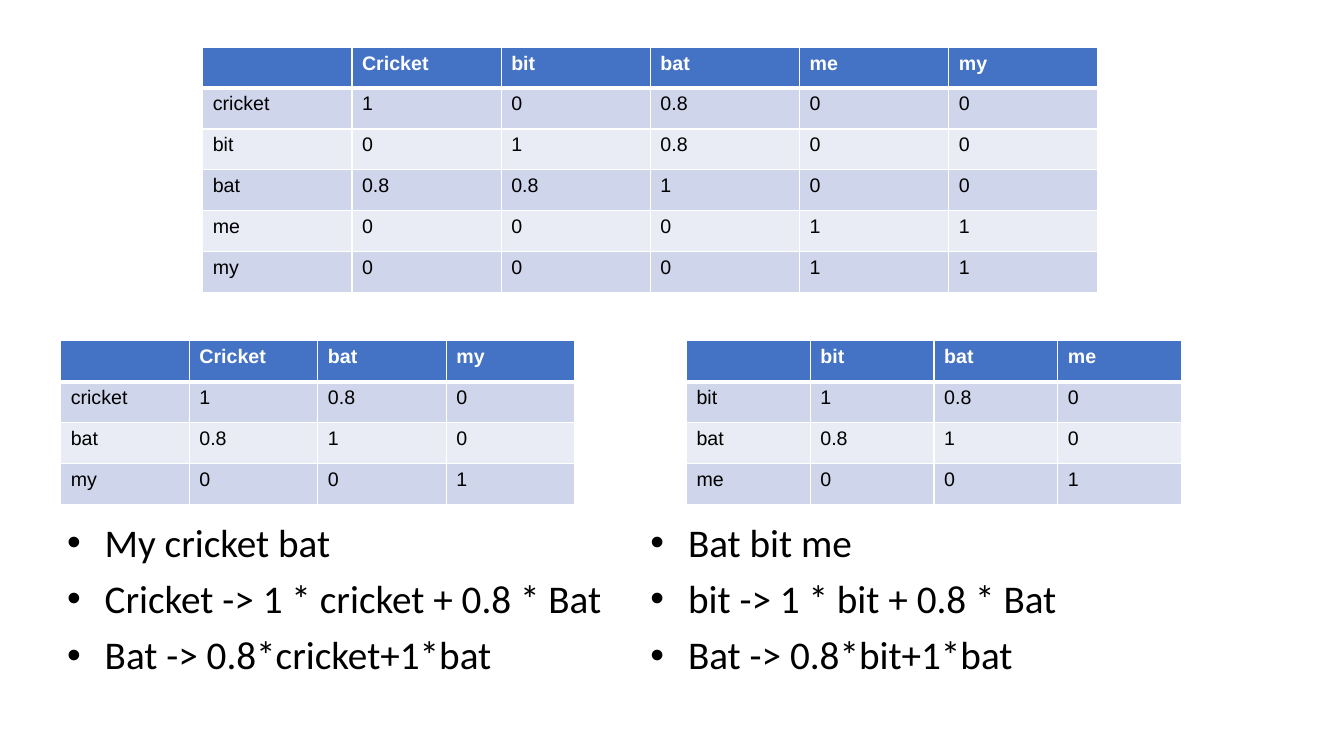
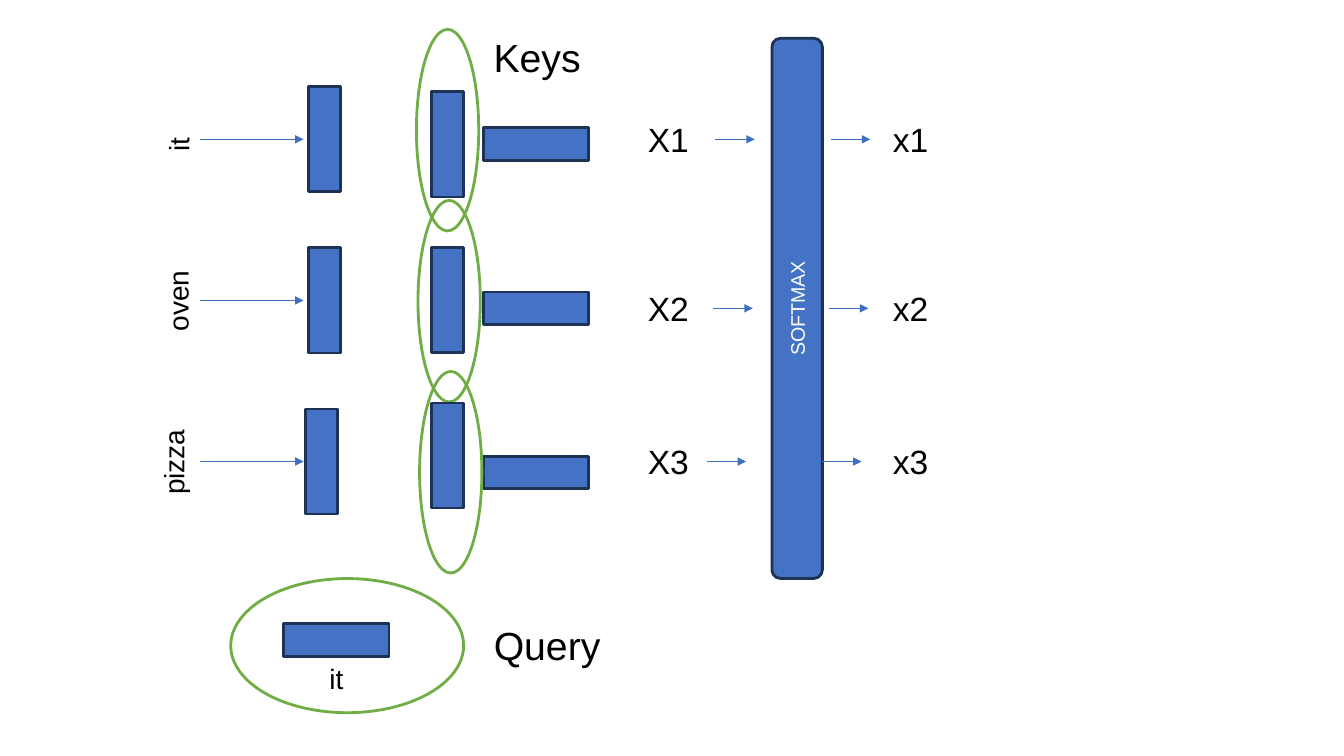
"""Build two slides on word similarity tables and attention with keys and a query."""
import lxml.etree
import pptx
import pptx.dml.color
import pptx.enum.shapes
import pptx.enum.text
import pptx.oxml.ns
import pptx.util

Cm = pptx.util.Cm
Pt = pptx.util.Pt
qn = pptx.oxml.ns.qn
Shapes = pptx.enum.shapes.MSO_SHAPE

COLOURS = {
    "block": "4472C4",
    "edge": "1E3256",
    "arrow": "3F6FC3",
    "ring": "70AD47",
    "odd_row": "CFD5EA",
    "even_row": "E9EBF5",
    "text": "000000",
    "white": "FFFFFF",
}


class Deck:
    def __init__(self):
        self.presentation = pptx.Presentation()
        self.presentation.slide_width = Cm(33.87)
        self.presentation.slide_height = Cm(19.05)
        self.slide = None

    def new_slide(self):
        self.slide = self.presentation.slides.add_slide(self.presentation.slide_layouts[6])

    def colour(self, name):
        return pptx.dml.color.RGBColor.from_string(COLOURS[name])

    def add_text(self, paragraph, text, size, colour="text", font="Arial", bold=False):
        run = paragraph.add_run()
        run.text = text
        run.font.size = Pt(size)
        run.font.name = font
        run.font.bold = bold
        run.font.color.rgb = self.colour(colour)

    def bullets(self, left, lines):
        box = self.slide.shapes.add_textbox(Cm(left), Cm(13.06), Cm(15.44), Cm(4.8))
        frame = box.text_frame
        frame.word_wrap = True
        for index, line in enumerate(lines):
            paragraph = frame.add_paragraph() if index else frame.paragraphs[0]
            properties = paragraph._p.get_or_add_pPr()
            properties.set("marL", str(Cm(1.27)))
            properties.set("indent", str(-Cm(0.95)))
            bullet_colour = lxml.etree.SubElement(properties, qn("a:buClr"))
            lxml.etree.SubElement(bullet_colour, qn("a:srgbClr"), val=COLOURS["text"])
            lxml.etree.SubElement(properties, qn("a:buFont"), typeface="Arial")
            lxml.etree.SubElement(properties, qn("a:buChar"), char="•")
            paragraph.line_spacing = 0.9
            paragraph.space_before = Pt(10 if index else 0)
            self.add_text(paragraph, line, 28, font="Calibri")

    def border(self, cell, side, width):
        properties = cell._tc.get_or_add_tcPr()
        line = lxml.etree.SubElement(properties, qn("a:ln" + side), w=str(Pt(width)))
        fill = lxml.etree.SubElement(line, qn("a:solidFill"))
        lxml.etree.SubElement(fill, qn("a:srgbClr"), val=COLOURS["white"])

    def similarity_table(self, left, top, column_width, header, rows):
        grid = [["", *header], *rows]
        count = len(grid)
        table = self.slide.shapes.add_table(
            count, count, Cm(left), Cm(top), Cm(column_width * count), Cm(1.03 * count)
        ).table
        for row, values in enumerate(grid):
            is_header = row == 0
            fill = "block" if is_header else ("odd_row" if row % 2 else "even_row")
            for column, value in enumerate(values):
                cell = table.cell(row, column)
                widths = {"L": 1, "R": 1, "T": 3 if row == 1 else 1, "B": 3 if is_header else 1}
                for side, width in widths.items():
                    self.border(cell, side, width)
                cell.fill.solid()
                cell.fill.fore_color.rgb = self.colour(fill)
                if value:
                    self.add_text(cell.text_frame.paragraphs[0], value, 14,
                                  "white" if is_header else "text", bold=is_header)

    def shape(self, kind, x, y, width, height, line, fill=None):
        shape = self.slide.shapes.add_shape(
            kind, Cm(x - width / 2), Cm(y - height / 2), Cm(width), Cm(height)
        )
        shape.shadow.inherit = False
        shape.line.color.rgb = self.colour(line)
        shape.line.width = Pt(2)
        if fill:
            shape.fill.solid()
            shape.fill.fore_color.rgb = self.colour(fill)
        else:
            shape.fill.background()
        return shape

    def block(self, x, y, wide=False):
        width, height = (2.65, 0.82) if wide else (0.82, 2.65)
        self.shape(Shapes.RECTANGLE, x, y, width, height, "edge", "block")

    def ring(self, x, y, width, height):
        self.shape(Shapes.FLOWCHART_CONNECTOR, x, y, width, height, "ring")

    def bar(self, x, y, length, thickness, text):
        bar = self.shape(Shapes.ROUNDED_RECTANGLE, x, y, length, thickness, "edge", "block")
        bar.rotation = 270
        bar.text_frame.vertical_anchor = pptx.enum.text.MSO_ANCHOR.MIDDLE
        paragraph = bar.text_frame.paragraphs[0]
        paragraph.alignment = pptx.enum.text.PP_ALIGN.CENTER
        self.add_text(paragraph, text, 14, "white")

    def label(self, text, x, y, width, size, rotation=0):
        height = size * 0.043 + 0.25
        box = self.slide.shapes.add_textbox(
            Cm(x - width / 2), Cm(y - height / 2), Cm(width), Cm(height)
        )
        box.rotation = rotation
        box.text_frame.word_wrap = False
        box.text_frame.auto_size = pptx.enum.text.MSO_AUTO_SIZE.SHAPE_TO_FIT_TEXT
        self.add_text(box.text_frame.paragraphs[0], text, size)

    def arrow(self, x, y, length):
        arrow = self.slide.shapes.add_connector(
            pptx.enum.shapes.MSO_CONNECTOR.STRAIGHT, Cm(x), Cm(y), Cm(x + length), Cm(y)
        )
        arrow.line.color.rgb = self.colour("arrow")
        arrow.line.width = Pt(0.75)
        lxml.etree.SubElement(arrow.get_or_add_ln(), qn("a:tailEnd"), type="triangle")
        lxml.etree.SubElement(arrow.element.spPr, qn("a:effectLst"))


def similarity_slide(deck):
    deck.new_slide()
    deck.similarity_table(5.11, 1.19, 3.76, ["Cricket", "bit", "bat", "me", "my"], [
        ["cricket", "1", "0", "0.8", "0", "0"],
        ["bit", "0", "1", "0.8", "0", "0"],
        ["bat", "0.8", "0.8", "1", "0", "0"],
        ["me", "0", "0", "0", "1", "1"],
        ["my", "0", "0", "0", "1", "1"],
    ])
    deck.similarity_table(1.53, 8.59, 3.24, ["Cricket", "bat", "my"], [
        ["cricket", "1", "0.8", "0"],
        ["bat", "0.8", "1", "0"],
        ["my", "0", "0", "1"],
    ])
    deck.similarity_table(17.3, 8.59, 3.12, ["bit", "bat", "me"], [
        ["bit", "1", "0.8", "0"],
        ["bat", "0.8", "1", "0"],
        ["me", "0", "0", "1"],
    ])
    deck.bullets(1.12, [
        "My cricket bat", "Cricket -> 1 * cricket + 0.8 * Bat", "Bat -> 0.8*cricket+1*bat",
    ])
    deck.bullets(15.82, ["Bat bit me", "bit -> 1 * bit + 0.8 * Bat", "Bat -> 0.8*bit+1*bat"])


def attention_slide(deck):
    deck.new_slide()
    words = [("it", 4.5, 3.63, 0.86), ("oven", 4.48, 7.57, 2.06), ("pizza", 4.37, 11.63, 2.18)]
    input_centres = [8.18, 8.18, 8.1]
    for index, (word, x, y, width) in enumerate(words):
        row = 3.51 + 4.06 * index
        deck.label(word, x, y, width, 20, rotation=270)
        deck.arrow(5.05, row, 2.6)
        deck.block(input_centres[index], row)
        deck.block(11.28, 3.64 + 3.92 * index)
        deck.block(13.51, 3.63 + 4.14 * index, wide=True)
        deck.ring(11.28 + 0.04 * index, 3.28 + 4.31 * index, 1.57, 5.08)

    deck.bar(20.09, 7.77, 13.61, 1.27, "SOFTMAX")
    scores = [(3.51, 18.03), (7.77, 17.98), (11.63, 17.81)]
    for number, (row, arrow_start) in enumerate(scores, 1):
        deck.label(f"X{number}", 16.85, row, 1.55, 24)
        deck.arrow(arrow_start, row, 0.99)
        deck.arrow(arrow_start + 2.91, row, 0.99)
        deck.label(f"x{number}", 22.96, row, 1.42, 24)

    deck.label("Keys", 13.55, 1.44, 2.72, 28)
    deck.block(8.48, 16.13, wide=True)
    deck.label("it", 8.48, 17.1, 0.86, 20)
    deck.ring(8.75, 16.27, 5.87, 3.38)
    deck.label("Query", 13.81, 16.27, 3.23, 28)


def main():
    deck = Deck()
    similarity_slide(deck)
    attention_slide(deck)
    deck.presentation.save("out.pptx")


if __name__ == "__main__":
    main()
